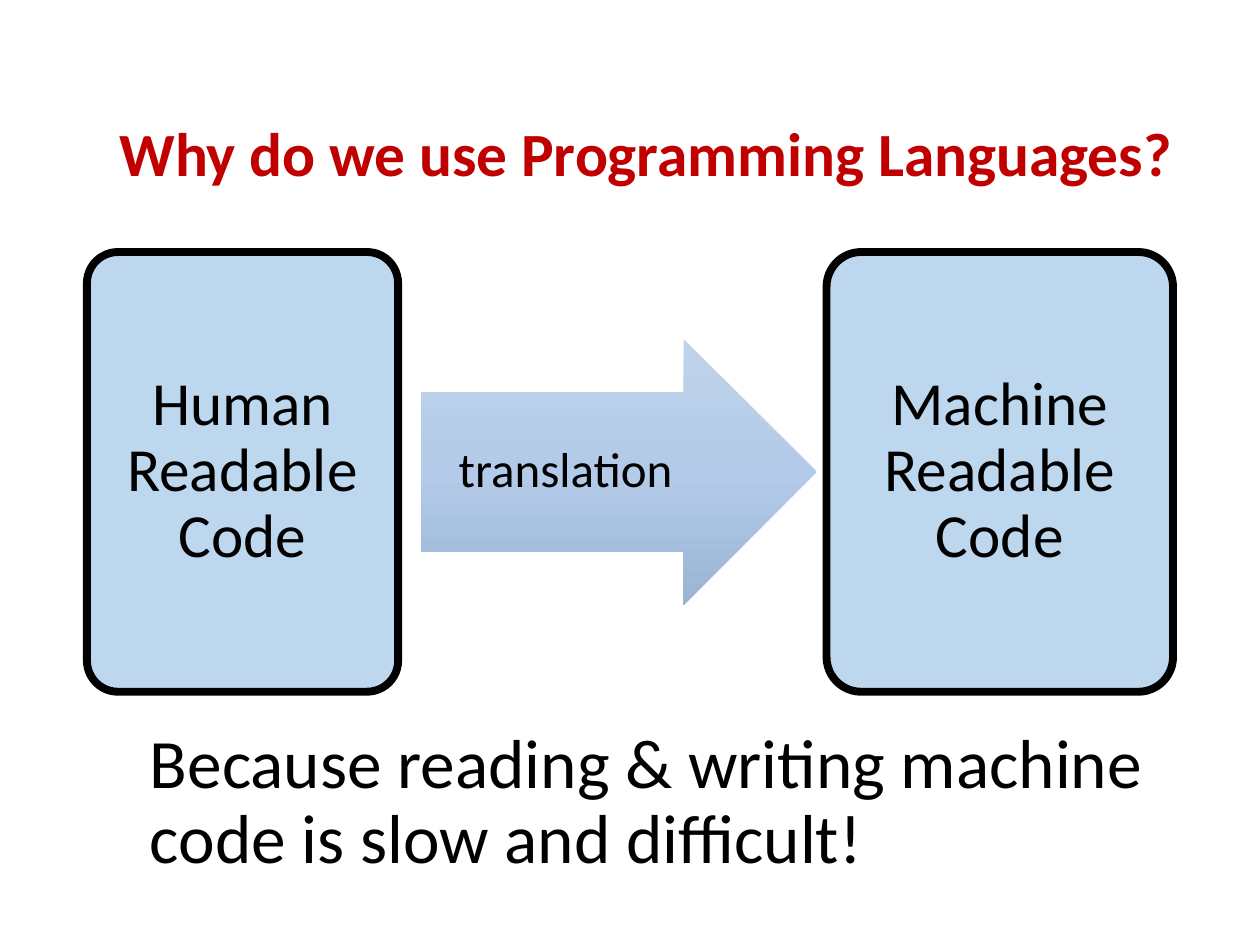
"""Build a slide on why programming languages are used."""
from copy import deepcopy
from dataclasses import dataclass

from pptx import Presentation
from pptx.dml.color import RGBColor
from pptx.enum.shapes import MSO_SHAPE
from pptx.enum.text import MSO_ANCHOR, MSO_AUTO_SIZE, PP_ALIGN
from pptx.oxml.ns import qn
from pptx.util import Inches, Pt

ROUNDED, ARROW = MSO_SHAPE.ROUNDED_RECTANGLE, MSO_SHAPE.RIGHT_ARROW
MIDDLE, NO_FIT = MSO_ANCHOR.MIDDLE, MSO_AUTO_SIZE.NONE
LEFT, CENTER = PP_ALIGN.LEFT, PP_ALIGN.CENTER
COLORS = {"text": "000000", "heading": "C00000", "card": "BDD7EE", "border": "000000"}
ARROW_STOPS = [(0, "C0D2EB"), (0.5, "B3CBE9"), (1, "9BB4D3")]
TEXT_INSETS = (0.1, 0.05, 0.1, 0.05)
CARD_INSETS = (0.15, 0.15, 0.15, 0.15)
ARROW_INSETS = (0, 0, 0.21, 0)
TEXT_SIZE = (8.62, 1.34)


@dataclass
class Card:
    """A rounded box that holds one kind of code."""
    text: str
    left: float
    width: float


CARDS = [Card("Human Readable Code", 0.69, 2.47), Card("Machine Readable Code", 6.56, 2.75)]


def rgb(name: str) -> RGBColor:
    """Return a named colour."""
    return RGBColor.from_string(COLORS[name])


def write(s, text: str, size: float, align, insets: tuple, color="text", bold=False) -> None:
    """Fill a shape with one formatted paragraph."""
    tf = s.text_frame
    sides = ("margin_left", "margin_top", "margin_right", "margin_bottom")
    frame = {"word_wrap": True, "auto_size": NO_FIT, "vertical_anchor": MIDDLE}
    frame.update(zip(sides, map(Inches, insets)))
    for name, value in frame.items():
        setattr(tf, name, value)
    p = tf.paragraphs[0]
    p.alignment, p.line_spacing = align, 0.9
    r = p.add_run()
    r.text = text
    for name, value in {"name": "Calibri", "size": Pt(size), "bold": bold}.items():
        setattr(r.font, name, value)
    r.font.color.rgb = rgb(color)


def add_card(slide, card: Card) -> None:
    """Draw one outlined card."""
    s = slide.shapes.add_shape(ROUNDED, *map(Inches, (card.left, 2, card.width, 3.49)))
    s.shadow.inherit = False
    s.adjustments[0] = 0.1
    s.fill.solid()
    s.fill.fore_color.rgb = rgb("card")
    s.line.color.rgb = rgb("border")
    s.line.width = Pt(4.5)
    write(s, card.text, 35, CENTER, CARD_INSETS)


def add_arrow(slide, text: str) -> None:
    """Draw the gradient arrow between the cards."""
    s = slide.shapes.add_shape(ARROW, *map(Inches, (3.34, 2.69, 3.14, 2.11)))
    s.shadow.inherit = False
    s.adjustments[0], s.adjustments[1] = 0.6, 0.5
    s.line.fill.background()
    s.fill.gradient()
    s.fill.gradient_angle = 270
    first = next(s._element.spPr.iter(qn("a:gs")))
    first.addnext(deepcopy(first))
    for stop, (position, color) in zip(s.fill.gradient_stops, ARROW_STOPS):
        stop.position = position
        stop.color.rgb = RGBColor.from_string(color)
    write(s, text, 28, CENTER, ARROW_INSETS)


def main() -> None:
    """Assemble and save the slide."""
    prs = Presentation()
    prs.slide_width, prs.slide_height = Inches(10), Inches(7.5)
    slide = prs.slides.add_slide(prs.slide_layouts[5])
    title = slide.shapes.title
    title.left, title.top, title.width, title.height = map(Inches, (1.09, 5.71, *TEXT_SIZE))
    write(title, "Because reading & writing machine code is slow and difficult!",
          39.6, LEFT, TEXT_INSETS)
    for card in CARDS:
        add_card(slide, card)
    add_arrow(slide, "translation")
    heading = slide.shapes.add_textbox(*map(Inches, (0.85, 0.57, *TEXT_SIZE)))
    write(heading, "Why do we use Programming Languages?", 35.1, LEFT, TEXT_INSETS,
          "heading", True)
    prs.save("out.pptx")


if __name__ == "__main__":
    main()
